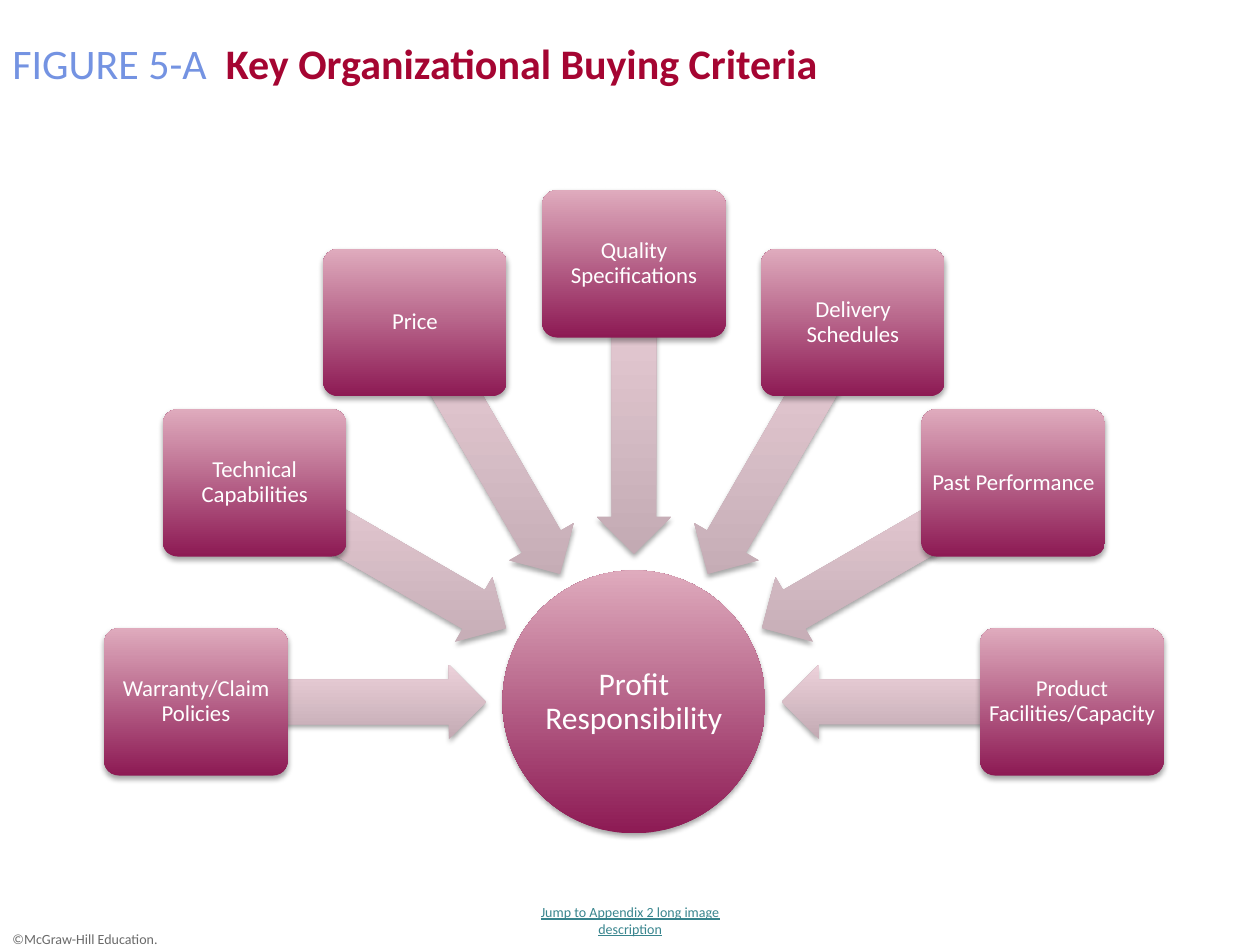
import math

import pptx
import pptx.dml.color
import pptx.enum.shapes
import pptx.enum.text
import pptx.oxml
import pptx.oxml.ns
import pptx.util

Cm = pptx.util.Cm
Pt = pptx.util.Pt
SHAPES = pptx.enum.shapes.MSO_SHAPE
ALIGN = pptx.enum.text.PP_ALIGN
ANCHOR = pptx.enum.text.MSO_ANCHOR

FONT = "Calibri"
DARK_PLUM, PINK = "8D1A54", "DFABBD"
DARK_MAUVE, PALE_PINK = "C3AAB3", "ECD1DA"

# Clockwise from the left of the hub
CRITERIA = [
    "Warranty/Claim Policies",
    "Technical Capabilities",
    "Price",
    "Quality Specifications",
    "Delivery Schedules",
    "Past Performance",
    "Product Facilities/Capacity",
]


def color(value):
    return pptx.dml.color.RGBColor.from_string(value)


def style_font(font, size, value):
    font.name = FONT
    font.size = Pt(size)
    font.color.rgb = color(value)


def add_shadow(shape):
    effects = pptx.oxml.parse_xml(
        f'<a:effectLst {pptx.oxml.ns.nsdecls("a")}>'
        f'<a:outerShdw blurRad="{Pt(3.1)}" dist="{Pt(1.8)}" dir="5400000" rotWithShape="0">'
        '<a:srgbClr val="000000"><a:alpha val="35000"/></a:srgbClr>'
        "</a:outerShdw></a:effectLst>"
    )
    properties = shape._element.spPr
    for old in properties.findall(pptx.oxml.ns.qn("a:effectLst")):
        properties.remove(old)
    properties.append(effects)


def add_centered_shape(page, kind, center, size, bottom, top):
    """Place a shape by its center, with an upright gradient and a soft shadow."""
    (x, y), (width, height) = center, size
    shape = page.shapes.add_shape(
        kind, Cm(x - width / 2), Cm(y - height / 2), Cm(width), Cm(height))
    shape.fill.gradient()
    shape.fill.gradient_angle = 90
    for stop, value in zip(shape.fill.gradient_stops, (bottom, top)):
        stop.color.rgb = color(value)
    gradient = shape._element.spPr.find(pptx.oxml.ns.qn("a:gradFill"))
    gradient.set("rotWithShape", "0")
    shape.line.fill.background()
    add_shadow(shape)
    return shape


def set_label(shape, text, size, margin):
    frame = shape.text_frame
    frame.word_wrap = True
    frame.vertical_anchor = ANCHOR.MIDDLE
    frame.margin_left = frame.margin_right = Cm(margin)
    frame.margin_top = frame.margin_bottom = Cm(margin)
    para = frame.paragraphs[0]
    para.text = text
    para.alignment = ALIGN.CENTER
    para.line_spacing = 0.9
    style_font(para.font, size, "FFFFFF")


def add_text_box(page, left, top, width, height):
    box = page.shapes.add_textbox(Cm(left), Cm(top), Cm(width), Cm(height))
    box.text_frame.word_wrap = True
    return box.text_frame


def add_title(page, left, top, width, height):
    para = add_text_box(page, left, top, width, height).paragraphs[0]
    para.font.name = FONT
    para.font.size = Pt(24)
    number = para.add_run()
    number.text = "FIGURE 5-A  "
    number.font.color.rgb = color("7493E2")
    heading = para.add_run()
    heading.text = "Key Organizational Buying Criteria"
    heading.font.bold = True
    heading.font.color.rgb = color("A50532")


def add_radial_diagram(page, left, top, width, height):
    """Fan the criteria over a half circle, each with an arrow to the hub."""
    hub_size, box_size, arrow_size = 5.3, (3.7, 2.97), (5.84, 1.5)
    box_radius, arrow_radius = 8.83, 5.9
    hub_x, hub_y = left + width / 2, top + height - hub_size / 2

    def around_hub(radius, degrees):
        angle = math.radians(degrees)
        return hub_x + radius * math.cos(angle), hub_y + radius * math.sin(angle)

    # Hub
    hub = add_centered_shape(page, SHAPES.OVAL, (hub_x, hub_y),
                             (hub_size, hub_size), DARK_PLUM, PINK)
    set_label(hub, "Profit Responsibility", 18, 0.03)

    # Arrows and criteria
    step = 180 / (len(CRITERIA) - 1)
    for index, criterion in enumerate(CRITERIA):
        degrees = 180 + index * step
        arrow = add_centered_shape(page, SHAPES.LEFT_ARROW, around_hub(arrow_radius, degrees),
                                   arrow_size, DARK_MAUVE, PALE_PINK)
        arrow.adjustments[0] = 0.6
        arrow.adjustments[1] = 0.5
        arrow.rotation = degrees % 360
        box = add_centered_shape(page, SHAPES.ROUNDED_RECTANGLE, around_hub(box_radius, degrees),
                                 box_size, DARK_PLUM, PINK)
        box.adjustments[0] = 0.1
        set_label(box, criterion, 13, 0.08)


def add_appendix_note(page, left, top, width, height):
    frame = add_text_box(page, left, top, width, height)
    frame.margin_left = frame.margin_right = 0
    frame.margin_top = frame.margin_bottom = 0
    para = frame.paragraphs[0]
    para.text = "Jump to Appendix 2 long image description"
    para.alignment = ALIGN.CENTER
    style_font(para.font, 8, "39858E")
    para.font.underline = True


def add_copyright(page, left, top, width, height):
    para = add_text_box(page, left, top, width, height).paragraphs[0]
    para.text = "©McGraw-Hill Education."
    style_font(para.font, 8, "6A6A6A")


def main():
    deck = pptx.Presentation()
    deck.slide_width, deck.slide_height = Cm(25.4), Cm(19.05)
    page = deck.slides.add_slide(deck.slide_layouts[6])
    add_copyright(page, 0, 18.63, 3.81, 0.42)
    add_title(page, 0, 0.64, 25.4, 1.7)
    add_radial_diagram(page, 2.1, 3.83, 21.36, 12.97)
    add_appendix_note(page, 10.8, 18.21, 3.81, 0.28)
    deck.save("out.pptx")


if __name__ == "__main__":
    main()
